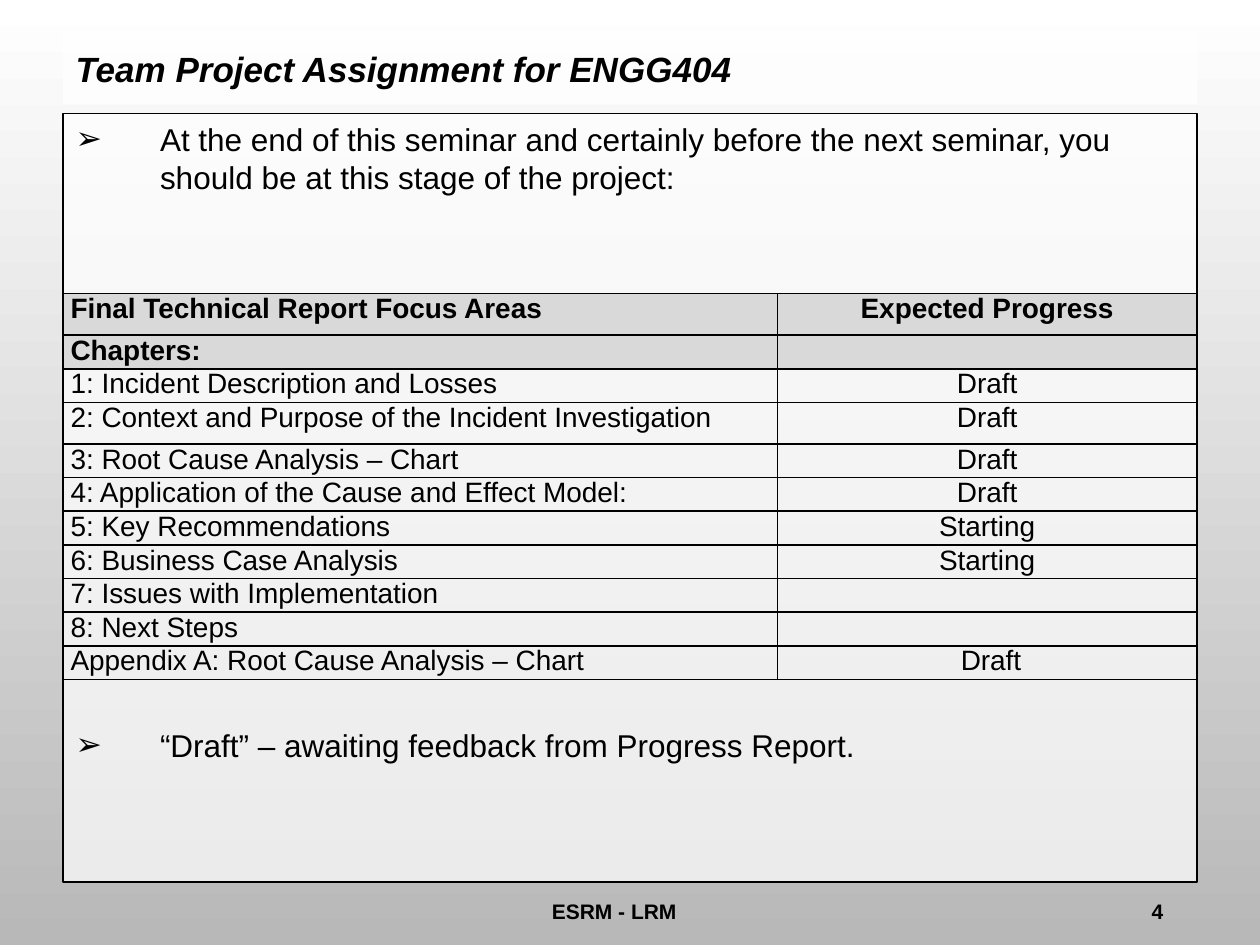
from lxml.etree import SubElement as Sub
from pptx import Presentation
from pptx.dml.color import RGBColor as RGB
from pptx.enum.text import MSO_ANCHOR as Anchor, MSO_AUTO_SIZE as Auto, PP_ALIGN as Align
from pptx.oxml.ns import qn
from pptx.util import Inches, Pt

HUES = {"ink": "000000", "panel": "FFFFFF", "top": "FFFFFF", "base": "B8B8B8", "head": "D9D9D9"}
HUE = {name: RGB.from_string(code) for name, code in HUES.items()}


def write(para, text, size, align=Align.LEFT, **style):
    """Put one formatted run into a paragraph."""
    para.alignment = align
    run = para.add_run()
    run.text = text
    look = {"name": "Arial", "size": Pt(size), "bold": False, "italic": False, **style}
    for key, value in look.items():
        setattr(run.font, key, value)
    run.font.color.rgb = HUE["ink"]


def panel(shape, box, anchor):
    """Place a placeholder and give it a translucent fill."""
    for key, value in zip(("left", "top", "width", "height"), box):
        setattr(shape, key, Inches(value))
    shape.fill.solid()
    shape.fill.fore_color.rgb = HUE["panel"]
    tint = shape._element.spPr.find(qn("a:solidFill"))[0]
    Sub(tint, qn("a:alpha"), val="70000")
    frame = shape.text_frame
    frame.auto_size = Auto.NONE
    frame.word_wrap = True
    frame.vertical_anchor = anchor
    return frame


deck = Presentation()
deck.slide_width, deck.slide_height = Inches(10), Inches(7.5)
slide = deck.slides.add_slide(deck.slide_layouts[1])

back = slide.background.fill
back.gradient()
back.gradient_angle = 270
for stop, name in zip(back.gradient_stops, ("top", "base")):
    stop.color.rgb = HUE[name]

# Title
title = panel(slide.shapes.title, (0.5, 0.25, 9, 0.58), Anchor.MIDDLE)
write(title.paragraphs[0], "Team Project Assignment for ENGG404", 20, bold=True, italic=True)

# Bullets above and below the table
body = slide.placeholders[1]
frame = panel(body, (0.5, 0.9, 9, 6.1), Anchor.TOP)
body.line.color.rgb = HUE["ink"]
body.line.width = Pt(0.75)
points = [
    ("At the end of this seminar and certainly before the next seminar, "
     "you should be at this stage of the project:", 0),
    ("“Draft” – awaiting feedback from Progress Report.", 303),
]
for i, (text, gap) in enumerate(points):
    para = frame.add_paragraph() if i else frame.paragraphs[0]
    props = para._p.get_or_add_pPr()
    props.set("marL", str(Inches(0.67)))
    props.set("indent", str(-Inches(0.67)))
    Sub(Sub(props, qn("a:buClr")), qn("a:srgbClr"), val=HUES["ink"])
    Sub(props, qn("a:buFont"), typeface="Arial")
    Sub(props, qn("a:buChar"), char="➢")
    para.space_before = Pt(gap)
    write(para, text, 18)

# Footer and slide number
for text, left, width, align in [
    ("4", 8.33, 1, Align.RIGHT),
    ("ESRM - LRM", 2.75, 4.25, Align.CENTER),
]:
    note = slide.shapes.add_textbox(Inches(left), Inches(7.08), Inches(width), Inches(0.25))
    note.text_frame.word_wrap = True
    write(note.text_frame.paragraphs[0], text, 12, align, bold=True)

# Progress table
rows = [
    ("Final Technical Report Focus Areas", "Expected Progress"),
    ("Chapters:", ""),
    ("1: Incident Description and Losses", "Draft"),
    ("2: Context and Purpose of the Incident Investigation", "Draft"),
    ("3: Root Cause Analysis – Chart", "Draft"),
    ("4: Application of the Cause and Effect Model:", "Draft"),
    ("5: Key Recommendations", "Starting"),
    ("6: Business Case Analysis", "Starting"),
    ("7: Issues with Implementation", ""),
    ("8: Next Steps", ""),
    ("Appendix A: Root Cause Analysis – Chart", " Draft"),
]
tall = (0, 3)
heads = 2
pads = {"margin_left": 0.06, "margin_right": 0.06, "margin_top": 0, "margin_bottom": 0}
grid = slide.shapes.add_table(
    len(rows), 2, Inches(0.5), Inches(2.33), Inches(9), Inches(2.82)).table
grid.first_row = grid.horz_banding = False
for col, width in zip(grid.columns, (5.67, 3.33)):
    col.width = Inches(width)
for r, row in enumerate(rows):
    grid.rows[r].height = Inches(0.33 if r in tall else 0.24)
    for c, text in enumerate(row):
        cell = grid.cell(r, c)
        for key, value in pads.items():
            setattr(cell, key, Inches(value))
        props = cell._tc.get_or_add_tcPr()
        for side in "LRTB":
            edge = Sub(props, qn(f"a:ln{side}"), w=str(Pt(1)))
            Sub(Sub(edge, qn("a:solidFill")), qn("a:srgbClr"), val=HUES["ink"])
        if r < heads:
            cell.fill.solid()
            cell.fill.fore_color.rgb = HUE["head"]
        else:
            cell.fill.background()
        para = cell.text_frame.paragraphs[0]
        if text:
            write(para, text, 16, Align.CENTER if c else Align.LEFT, bold=r < heads)
        else:
            Sub(para._p, qn("a:endParaRPr"), sz="1600")

deck.save("out.pptx")
